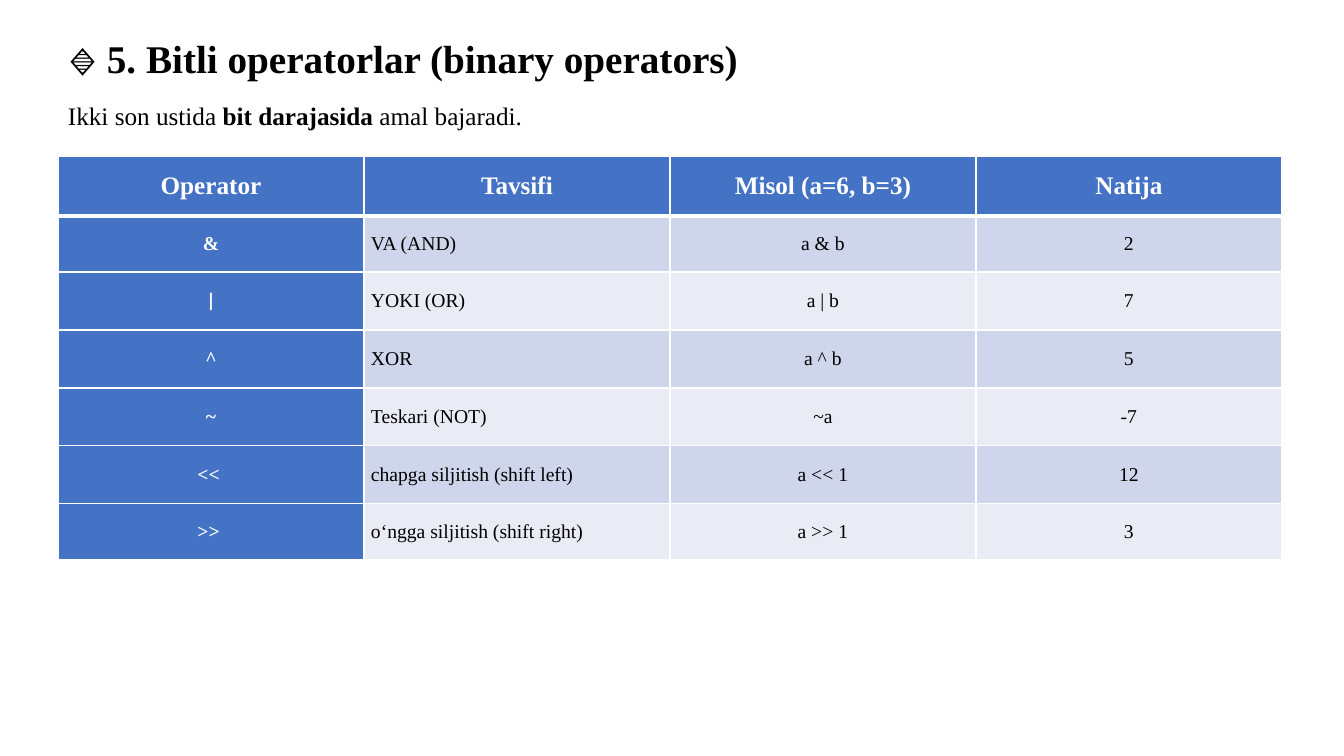
from lxml.etree import SubElement
from pptx import Presentation
from pptx.dml.color import RGBColor
from pptx.enum.text import MSO_ANCHOR, MSO_AUTO_SIZE, PP_ALIGN
from pptx.oxml.ns import qn
from pptx.util import Pt

PX = 914400 / 100.8
COLORS = {"black": "000000", "white": "FFFFFF", "blue": "4472C4",
          "band_dark": "CFD5EA", "band_light": "E9EBF5"}
FONT = "Times New Roman"
ROWS = [
    ["Operator", "Tavsifi", "Misol (a=6, b=3)", "Natija"],
    ["&", "VA (AND)", "a & b", "2"],
    ["|", "YOKI (OR)", "a | b", "7"],
    ["^", "XOR", "a ^ b", "5"],
    ["~", "Teskari (NOT)", "~a", "-7"],
    ["<< ", "chapga siljitish (shift left)", "a << 1", "12"],
    [">> ", "o‘ngga siljitish (shift right)", "a >> 1", "3"],
]
ROW_HEIGHTS = [60, 56, 58, 58, 58, 58, 56]
COL_WIDTH = 306


def px(*values):
    return [round(v * PX) for v in values]


def add_run(p, text, size, bold, color="black", font=FONT):
    r = p.add_run()
    r.text = text
    r.font.name = font
    r.font.size = Pt(size)
    r.font.bold = bold
    r.font.color.rgb = RGBColor.from_string(COLORS[color])


prs = Presentation()
prs.slide_width, prs.slide_height = px(1344, 756)
slide = prs.slides.add_slide(prs.slide_layouts[5])

# Heading and introduction
title = slide.shapes.title
title.left, title.top, title.width, title.height = px(58, 29, 812, 62)
intro = slide.shapes.add_textbox(*px(58, 95, 812, 40))
for sp in (title, intro):
    tf = sp.text_frame
    tf.word_wrap = True
    tf.auto_size = MSO_AUTO_SIZE.NONE
    tf.vertical_anchor = MSO_ANCHOR.TOP
    tf.paragraphs[0].alignment = PP_ALIGN.LEFT

p = title.text_frame.paragraphs[0]
add_run(p, "🔹", 28, True, font="Karla")
add_run(p, " 5. Bitli operatorlar (binary operators)", 28, True)

p = intro.text_frame.paragraphs[0]
add_run(p, "Ikki son ustida ", 18, False)
add_run(p, "bit darajasida ", 18, True)
add_run(p, "amal bajaradi.", 18, False)

# Operator table
table = slide.shapes.add_table(
    len(ROWS), len(ROWS[0]),
    *px(58, 156, COL_WIDTH * len(ROWS[0]), sum(ROW_HEIGHTS))).table
table.first_col = True
for col in table.columns:
    col.width = px(COL_WIDTH)[0]

for i, texts in enumerate(ROWS):
    table.rows[i].height = px(ROW_HEIGHTS[i])[0]
    for j, text in enumerate(texts):
        cell = table.cell(i, j)
        heading = i == 0 or j == 0
        cell.vertical_anchor = MSO_ANCHOR.MIDDLE
        cell.margin_left, cell.margin_right = px(7, 7)
        cell.margin_top = cell.margin_bottom = 0

        p = cell.text_frame.paragraphs[0]
        p.alignment = PP_ALIGN.LEFT if j == 1 and i > 0 else PP_ALIGN.CENTER
        add_run(p, text, 18 if i == 0 else 14, heading,
                "white" if heading else "black",
                "Calibri" if text == "|" else FONT)

        # Borders must precede the fill in the cell properties
        for side in ("lnL", "lnR", "lnT", "lnB"):
            under_header = (i, side) in ((0, "lnB"), (1, "lnT"))
            ln = SubElement(cell._tc.get_or_add_tcPr(), qn(f"a:{side}"),
                            w=str(Pt(3 if under_header else 1)))
            line_fill = SubElement(ln, qn("a:solidFill"))
            SubElement(line_fill, qn("a:srgbClr"), val=COLORS["white"])
        band = "band_dark" if i % 2 else "band_light"
        cell.fill.solid()
        cell.fill.fore_color.rgb = RGBColor.from_string(
            COLORS["blue" if heading else band])

prs.save("out.pptx")
